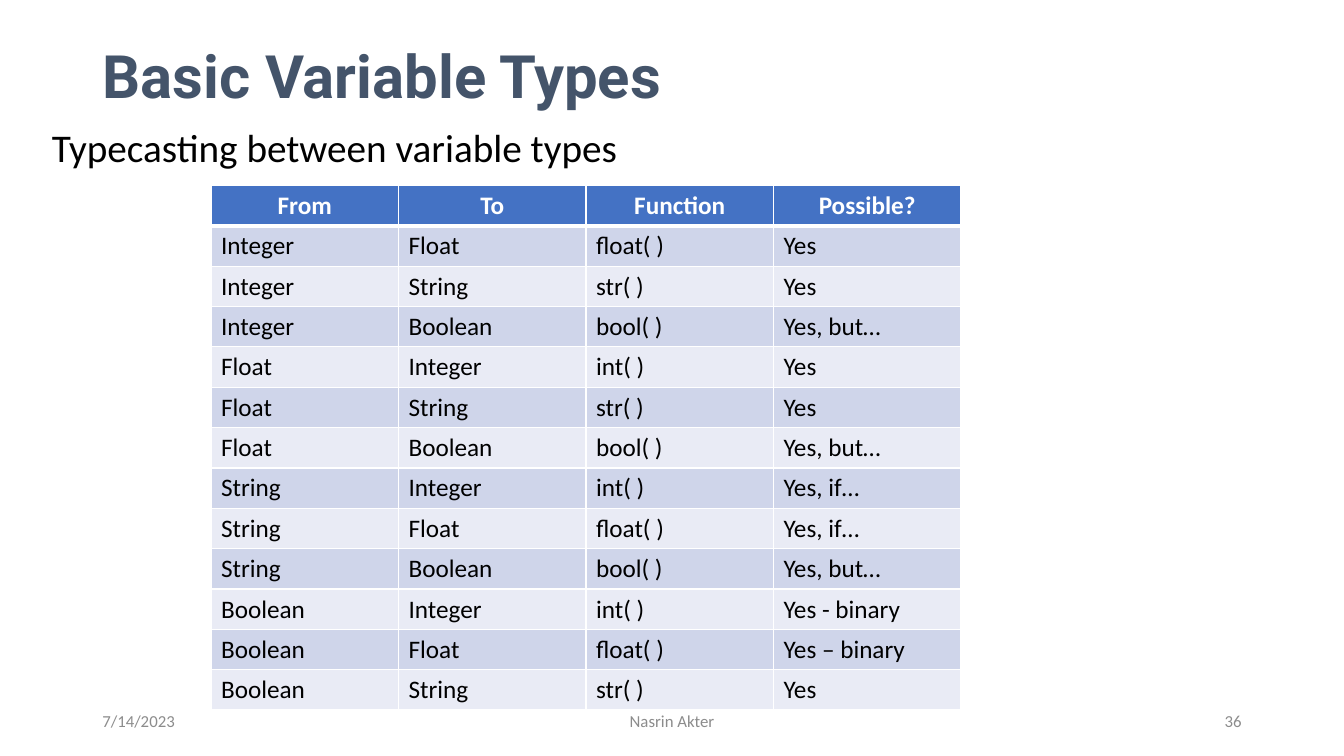
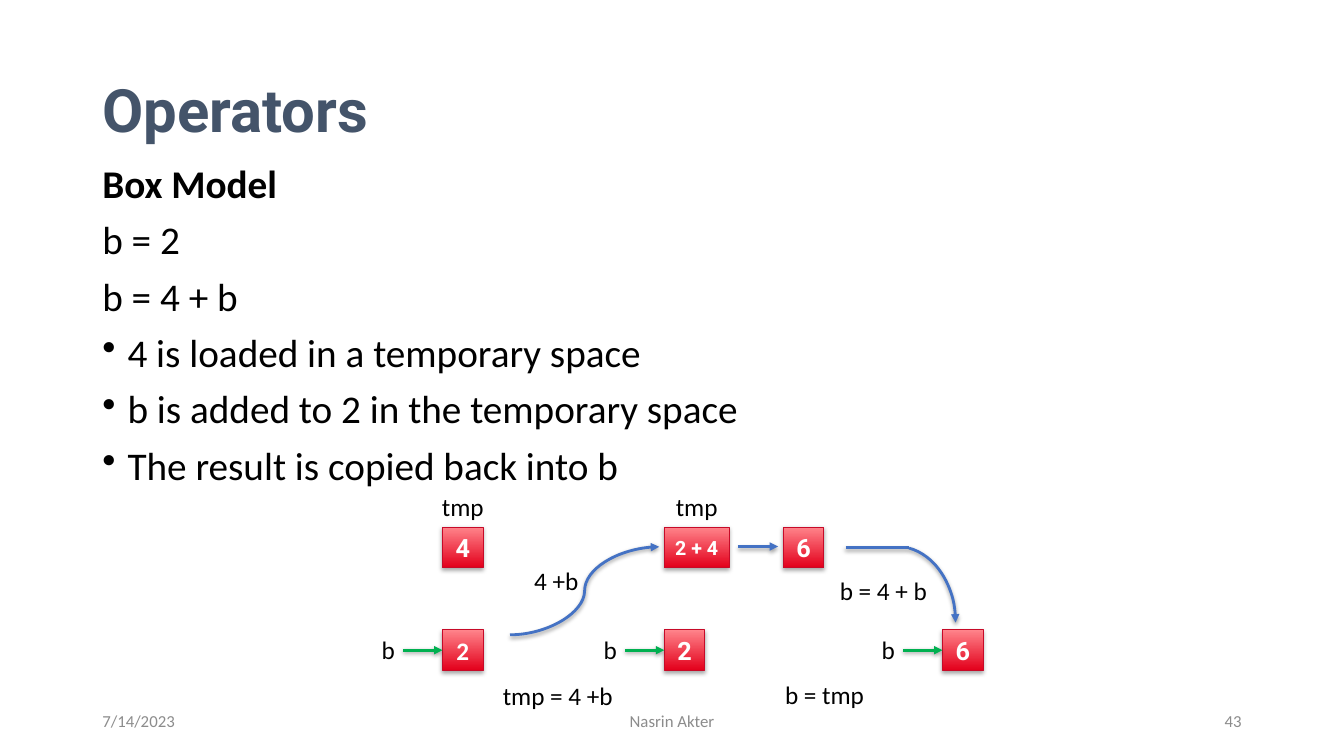
from lxml import etree
from pptx import Presentation
from pptx import util as u
from pptx.dml.color import RGBColor
from pptx.enum import shapes, text
from pptx.oxml import ns

# Grid: 40 square columns across the slide, 22.5 rows down
WIDTH, HEIGHT = u.Inches(13.33), u.Inches(7.5)
CELL = WIDTH / 40
MARGIN, CONTENT = 2.75, 34.5

# Shared style
BODY_FONT, TITLE_FONT = "Calibri", "Roboto"
BLACK, WHITE, SLATE, GREY = "000000", "FFFFFF", "44546A", "8C8C8C"
BLUE, GREEN = "4472C4", "00B050"
BANDS = ("CFD5EA", "E9EBF5")
BOX_DARK, BOX_LIGHT, BOX_EDGE = "E3001B", "FF848B", "C70A28"
LEFT, CENTER, RIGHT = text.PP_ALIGN.LEFT, text.PP_ALIGN.CENTER, text.PP_ALIGN.RIGHT
MIDDLE, TOP = text.MSO_ANCHOR.MIDDLE, text.MSO_ANCHOR.TOP

# Box diagram, in grid cells
BOX = 1.21
UPPER, LOWER = 15.69, 18.75
LABEL_HEIGHT = 1.2

CASTS = [
    ("From", "To", "Function", "Possible?"),
    ("Integer", "Float", "float( )", "Yes"),
    ("Integer", "String", "str( )", "Yes"),
    ("Integer", "Boolean", "bool( )", "Yes, but…"),
    ("Float", "Integer", "int( )", "Yes"),
    ("Float", "String", "str( )", "Yes"),
    ("Float", "Boolean", "bool( )", "Yes, but…"),
    ("String", "Integer", "int( )", "Yes, if…"),
    ("String", "Float", "float( )", "Yes, if…"),
    ("String", "Boolean", "bool( )", "Yes, but…"),
    ("Boolean", "Integer", "int( )", "Yes - binary"),
    ("Boolean", "Float", "float( )", "Yes – binary"),
    ("Boolean", "String", "str( )", "Yes"),
]


def cells(*lengths):
    return [round(length * CELL) for length in lengths]


def color(value):
    return RGBColor.from_string(value)


def add_xml(parent, tag, **attributes):
    return etree.SubElement(parent, ns.qn(tag), attributes)


# Text
def format_paragraph(paragraph, size, ink=BLACK, bold=False, font=BODY_FONT, align=LEFT):
    paragraph.alignment = align
    for run in paragraph.runs:
        run.font.name, run.font.size, run.font.bold = font, u.Pt(size), bold
        run.font.color.rgb = color(ink)


def add_text(slide, words, left, top, width, height, size, anchor=TOP, spacing=1, **style):
    frame = slide.shapes.add_textbox(*cells(left, top, width, height)).text_frame
    frame.word_wrap = True
    frame.vertical_anchor = anchor
    frame.text = words
    for paragraph in frame.paragraphs:
        paragraph.line_spacing = spacing
        format_paragraph(paragraph, size, **style)
    return frame


def add_label(slide, words, left, top, width, align=LEFT):
    add_text(slide, words, left, top, width, LABEL_HEIGHT, 18, align=align)


def add_bullet(paragraph):
    indent = u.Inches(0.25)
    properties = paragraph._p.get_or_add_pPr()
    properties.set("marL", str(indent))
    properties.set("indent", str(-indent))
    add_xml(properties, "a:buChar", char="•")


def add_body(slide, lines, top, height):
    frame = add_text(slide, "\n".join(words for words, _ in lines),
                     MARGIN, top, CONTENT, height, 28)
    for index, (paragraph, (_, kind)) in enumerate(zip(frame.paragraphs, lines)):
        if kind == "bullet":
            add_bullet(paragraph)
        paragraph.line_spacing = 0.9
        paragraph.space_before = u.Pt(10 if index else 0)
        format_paragraph(paragraph, 28, bold=kind == "heading")


def add_slide(presentation, title, title_top, number):
    slide = presentation.slides.add_slide(presentation.slide_layouts[6])
    add_text(slide, title, MARGIN, title_top, CONTENT, 4.35, 42.7, MIDDLE, 0.9,
             ink=SLATE, bold=True, font=TITLE_FONT)
    footers = (("Nasrin Akter", 13.25, 13.5, CENTER),
               ("7/14/2023", MARGIN, 9, LEFT),
               (number, 28.25, 9, RIGHT))
    for words, left, width, align in footers:
        add_text(slide, words, left, 20.85, width, 1.2, 12, MIDDLE, ink=GREY, align=align)
    return slide


# Table
def add_borders(cell, row):
    properties = cell._tc.get_or_add_tcPr()
    points = {"L": 1, "R": 1, "T": 3 if row == 1 else 1, "B": 3 if row == 0 else 1}
    for side, width in points.items():
        line = add_xml(properties, f"a:ln{side}", w=str(u.Pt(width)))
        add_xml(add_xml(line, "a:solidFill"), "a:srgbClr", val=WHITE)


def add_cast_table(slide, left, top, column_width, row_height):
    rows, columns = len(CASTS), len(CASTS[0])
    table = slide.shapes.add_table(
        rows, columns,
        *cells(left, top, columns * column_width, rows * row_height)).table
    for row, values in enumerate(CASTS):
        header = row == 0
        for column, words in enumerate(values):
            cell = table.cell(row, column)
            add_borders(cell, row)
            cell.fill.solid()
            cell.fill.fore_color.rgb = color(BLUE if header else BANDS[(row - 1) % 2])
            cell.text_frame.text = words
            format_paragraph(cell.text_frame.paragraphs[0], 18, WHITE if header else BLACK,
                             header, align=CENTER if header else LEFT)


# Diagram
def add_shadow(shape, distance, opacity):
    effects = add_xml(shape._element.spPr, "a:effectLst")
    shadow = add_xml(effects, "a:outerShdw", blurRad=str(u.Pt(3.1)),
                     dist=str(u.Pt(distance)), dir="5400000", rotWithShape="0")
    add_xml(add_xml(shadow, "a:srgbClr", val=BLACK), "a:alpha", val=str(opacity * 1000))


def style_line(shape, ink, arrow=True):
    shape.line.color.rgb = color(ink)
    shape.line.width = u.Pt(2)
    if arrow:
        add_xml(shape.line._get_or_add_ln(), "a:tailEnd", type="triangle")
    add_shadow(shape, 1.6, 38)


def add_line(slide, start, end, ink=BLUE, arrow=True, curved=False, target=None):
    kind = shapes.MSO_CONNECTOR.CURVE if curved else shapes.MSO_CONNECTOR.STRAIGHT
    connector = slide.shapes.add_connector(kind, *cells(*start, *end))
    if target is not None:
        connector.end_connect(target, 1)
    style_line(connector, ink, arrow)


def add_arc(slide, left, top, width, height):
    arc = slide.shapes.add_shape(shapes.MSO_SHAPE.ARC, *cells(left, top, width, height))
    arc.adjustments[0], arc.adjustments[1] = 167.45, 0
    arc.fill.background()
    style_line(arc, BLUE)


def add_box(slide, value, left, top, width=BOX, size=18, font=TITLE_FONT):
    box = slide.shapes.add_shape(shapes.MSO_SHAPE.RECTANGLE, *cells(left, top, width, BOX))
    box.fill.gradient()
    box.fill.gradient_angle = 90
    for stop, ink in zip(box.fill.gradient_stops, (BOX_DARK, BOX_LIGHT)):
        stop.color.rgb = color(ink)
    box.line.color.rgb = color(BOX_EDGE)
    box.line.width = u.Pt(0.75)
    add_shadow(box, 1.8, 35)
    frame = box.text_frame
    frame.word_wrap = False
    frame.vertical_anchor = MIDDLE
    frame.text = value
    format_paragraph(frame.paragraphs[0], size, WHITE, True, font, CENTER)
    return box


def add_temporary(slide, value, left, width=BOX, size=18):
    add_box(slide, value, left, UPPER, width, size)
    label_width = 2
    add_label(slide, "tmp", left + (width - label_width) / 2, UPPER - 1.22,
              label_width, CENTER)


def add_variable(slide, value, left, font=TITLE_FONT):
    box = add_box(slide, value, left, LOWER, font=font)
    add_label(slide, "b", left - 2.45, LOWER, 1.68, CENTER)
    middle = LOWER + BOX / 2
    add_line(slide, (left - 1.17, middle), (left, middle), GREEN, target=box)


# Slides
def build_types(presentation):
    slide = add_slide(presentation, "Basic Variable Types", 0.18, "36")
    add_text(slide, "Typecasting between variable types", 1.25, 3.78, CONTENT, 1.5, 28,
             spacing=0.8)
    add_cast_table(slide, 6.28, 5.52, 5.58, 1.2)


def build_operators(presentation):
    slide = add_slide(presentation, "Operators", 1.2, "43")
    add_body(slide, [
        ("Box Model", "heading"),
        ("b = 2", "plain"),
        ("b = 4 + b", "plain"),
        ("4 is loaded in a temporary space", "bullet"),
        ("b is added to 2 in the temporary space", "bullet"),
        ("The result is copied back into b", "bullet"),
    ], 4.75, 14.28)

    # Boxes with their names
    first, second, third = 13.17, 19.77, 28.05
    add_temporary(slide, "4", first)
    add_temporary(slide, "2 + 4", second, 1.93, 14)
    add_box(slide, "6", 23.31, UPPER)
    add_variable(slide, "2", first, BODY_FONT)
    add_variable(slide, "2", second)
    add_variable(slide, "6", third)

    # Flow between the boxes
    add_line(slide, (15.18, 18.9), (19.62, 16.28), curved=True)
    add_line(slide, (21.96, 16.27), (23.16, 16.27))
    add_line(slide, (25.17, 16.3), (27.06, 16.3), arrow=False)
    add_arc(slide, 24.96, 16.27, 3.48, 4.53)

    # Steps
    for words, left, top, width in (("4 +b", 15.6, 16.68, 2.13),
                                    ("tmp = 4 +b", 14.67, 20.1, 4.7),
                                    ("b = tmp", 23.07, 20.07, 3.27),
                                    ("b = 4 + b", 24.7, 16.98, 3.27)):
        add_label(slide, words, left, top, width)


def main():
    presentation = Presentation()
    presentation.slide_width, presentation.slide_height = WIDTH, HEIGHT
    build_types(presentation)
    build_operators(presentation)
    presentation.save("out.pptx")


if __name__ == "__main__":
    main()
